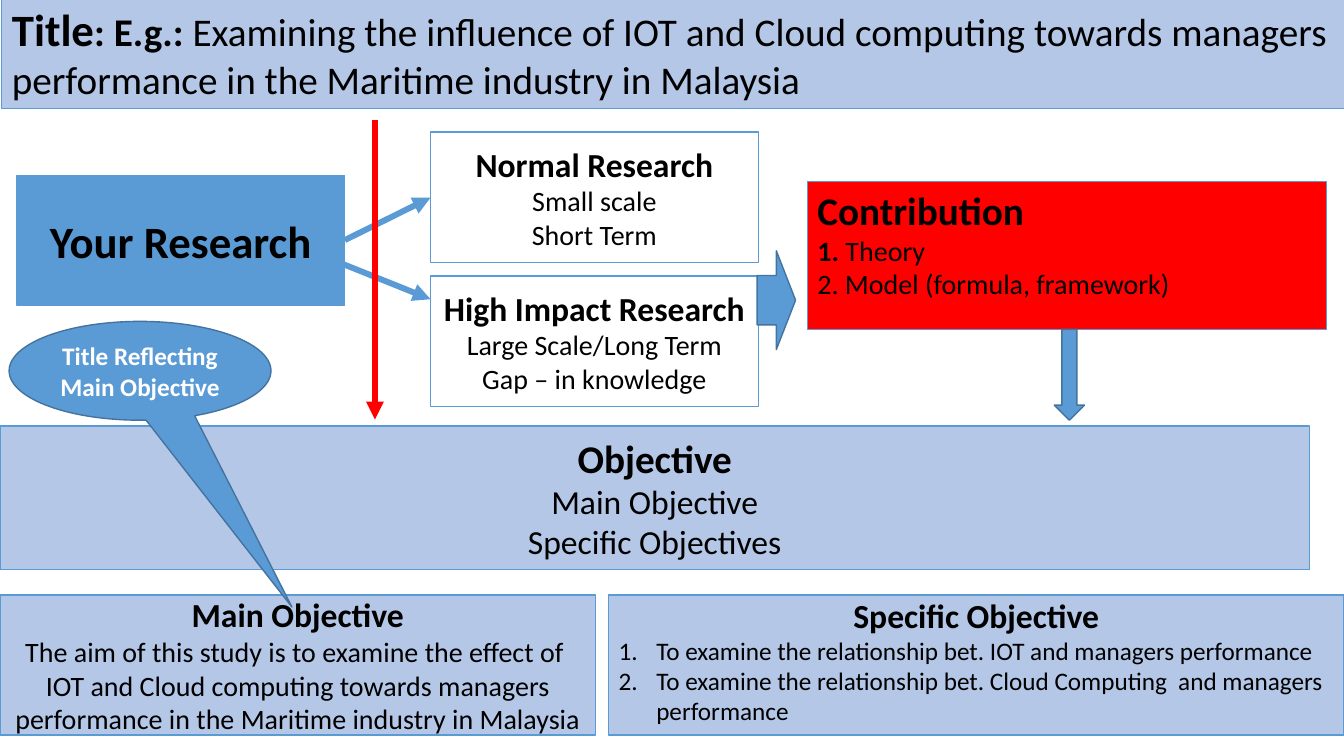
from pptx import Presentation, util as u
from pptx.dml.color import RGBColor
from pptx.enum import shapes as es, text as et
from pptx.oxml.ns import qn
from lxml import etree

Cm, Pt = u.Cm, u.Pt
BLUE, PALE, EDGE = "5B9BD5", "B4C7E7", "43739E"
RED, WHITE, BLACK = "FF0000", "FFFFFF", "000000"
G, CENTER, LEFT = es.MSO_SHAPE, et.PP_ALIGN.CENTER, et.PP_ALIGN.LEFT
MIDDLE, TOP = et.MSO_ANCHOR.MIDDLE, et.MSO_ANCHOR.TOP


def rgb(hex_color):
    """Return the colour object for a hex string."""
    return RGBColor.from_string(hex_color)


def add_block(s, box, fill, line=BLUE, geometry=G.RECTANGLE, width=1):
    """Add a filled, outlined shape in a box given in centimetres."""
    sp = s.shapes.add_shape(geometry, *map(Cm, box))
    sp.shadow.inherit = False
    sp.fill.solid()
    sp.fill.fore_color.rgb = rgb(fill)
    sp.line.color.rgb = rgb(line)
    sp.line.width = Pt(width)
    return sp


def add_text(sp, paragraphs, align=CENTER, color=BLACK, **frame):
    """Write paragraphs, each a list of (text, size, bold) runs."""
    tf = sp.text_frame
    for name, value in {"word_wrap": True, "vertical_anchor": MIDDLE, **frame}.items():
        setattr(tf, name, value)
    for i, runs in enumerate(paragraphs):
        p = tf.add_paragraph() if i else tf.paragraphs[0]
        p.alignment = align
        for words, size, bold in runs:
            r = p.add_run()
            r.text = words
            r.font.color.rgb = rgb(color)
            for name, value in {"name": "Calibri", "size": Pt(size), "bold": bold}.items():
                setattr(r.font, name, value)
    return tf


def headed(heading, heading_size, lines, size):
    """Return a bold heading followed by plain lines."""
    return [[(heading, heading_size, True)]] + [[(line, size, False)] for line in lines]


def number(p, indent):
    """Turn a paragraph into an automatically numbered item."""
    p.alignment = LEFT
    pPr = p._p.get_or_add_pPr()
    pPr.set("marL", str(indent))
    pPr.set("indent", str(-indent))
    etree.SubElement(pPr, qn("a:buFont"), typeface="+mj-lt")
    etree.SubElement(pPr, qn("a:buAutoNum"), type="arabicPeriod")


def add_arrow(s, start, end, color=BLUE):
    """Add a thick straight line with a triangular head at its end."""
    c = s.shapes.add_connector(es.MSO_CONNECTOR.STRAIGHT, *map(Cm, start + end))
    c.line.color.rgb = rgb(color)
    c.line.width = Pt(4.25)
    etree.SubElement(c.line._get_or_add_ln(), qn("a:tailEnd"), type="triangle")
    etree.SubElement(c._element.spPr, qn("a:effectLst"))


def add_title(s, box):
    """Add the title band."""
    runs = [("Title", 32, True), (": E.g.: ", 28, True),
            ("Examining the influence of IOT and Cloud computing towards managers "
             "performance in the Maritime industry in Malaysia", 28, False)]
    add_text(add_block(s, box, PALE, width=0.75), [runs], LEFT, vertical_anchor=TOP)


def add_research(s, box):
    """Add the research box, its two kinds and the arrows between them."""
    x, y, w, h = box
    add_text(add_block(s, box, BLUE), [[("Your Research", 32, True)]])
    kinds = [("Normal Research", ["Small scale", "Short Term"]),
             ("High Impact Research", ["Large Scale/Long Term", "Gap – in knowledge"])]
    kind_x, kind_y, pitch = x + 10.42, y - 1.09, 3.63
    for i, (heading, lines) in enumerate(kinds):
        sp = add_block(s, (kind_x, kind_y + i * pitch, w, h), WHITE)
        add_text(sp, headed(heading, 24, lines, 20))
    add_arrow(s, (x + w, y + 1.63), (kind_x, y + 0.56))
    add_arrow(s, (x + w - 0.18, y + 2.18), (kind_x, y + 3.12))
    add_arrow(s, (x + 9.02, y - 1.4), (x + 9.02, y + 6.15), RED)
    add_block(s, (kind_x + w - 0.03, y + 1.9, 0.97, 2.49), BLUE, EDGE, G.RIGHT_ARROW)


def add_contribution(s, box):
    """Add the contribution box and the arrow below it."""
    x, y, w, h = box
    paragraphs = [[("Contribution", 28, True)],
                  [("1. ", 20, True), ("Theory", 20, False)],
                  [("2. Model (formula, framework)", 20, False)]]
    add_text(add_block(s, box, RED), paragraphs, LEFT, vertical_anchor=TOP)
    add_block(s, (x + 6.22, y + h, 0.76, 2.29), BLUE, EDGE, G.DOWN_ARROW)


def add_objective(s, box):
    """Add the objective band."""
    lines = ["Main Objective", "Specific Objectives"]
    add_text(add_block(s, box, PALE), headed("Objective", 28, lines, 24))


def add_details(s, box):
    """Add the main and specific objectives side by side."""
    x, y, w, h = box
    main_w, gap = 15.01, 0.33
    aim = ("The aim of this study is to examine the effect of  IOT and Cloud computing "
           "towards managers performance in the Maritime industry in Malaysia")
    sp = add_block(s, (x, y, main_w, h), PALE)
    add_text(sp, headed("Main Objective", 24, [aim], 20))
    items = ["To examine the relationship bet. IOT and managers performance",
             "To examine the relationship bet. Cloud Computing  and managers performance"]
    sp = add_block(s, (x + main_w + gap, y, w - main_w - gap, h), PALE)
    tf = add_text(sp, headed("Specific Objective", 24, items, 18),
                  vertical_anchor=TOP, margin_top=0)
    for p in tf.paragraphs[1:]:
        number(p, Cm(0.95))


def add_callout(s, box):
    """Add the callout pointing at the main objective."""
    sp = add_block(s, box, BLUE, EDGE, G.OVAL_CALLOUT)
    for i, value in enumerate((0.58, 2.39)):
        sp.adjustments[i] = value
    add_text(sp, [[("Title Reflecting Main Objective", 18, True)]], color=WHITE)


def main():
    """Build the slide and save it."""
    prs = Presentation()
    prs.slide_width, prs.slide_height = Cm(33.87), Cm(19.05)
    s = prs.slides.add_slide(prs.slide_layouts[6])
    add_title(s, (0.05, -0.08, 33.87, 2.82))
    add_research(s, (0.43, 4.42, 8.26, 3.28))
    add_contribution(s, (20.35, 4.57, 13.08, 3.73))
    add_objective(s, (0, 10.74, 33, 3.61))
    add_details(s, (0, 14.99, 33.87, 3.53))
    add_callout(s, (0.23, 8.1, 6.6, 2.49))
    prs.save("out.pptx")


if __name__ == "__main__":
    main()
